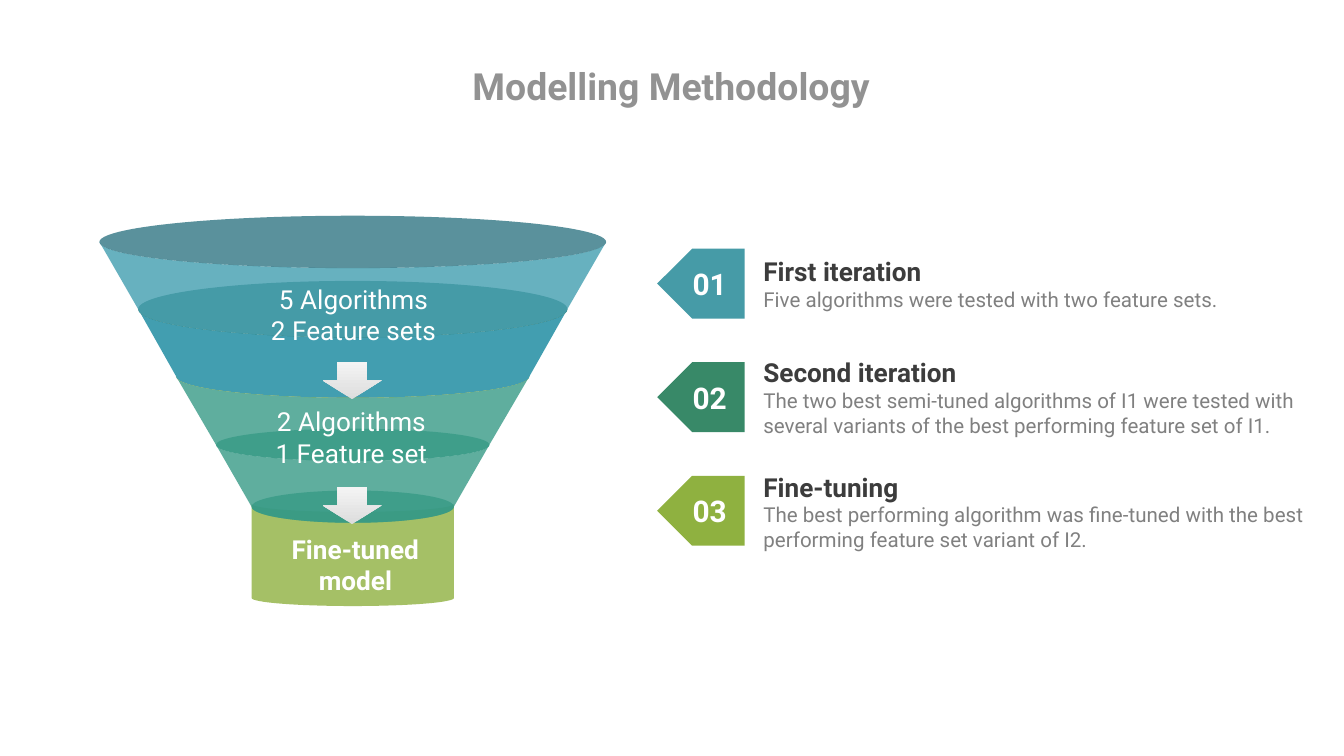
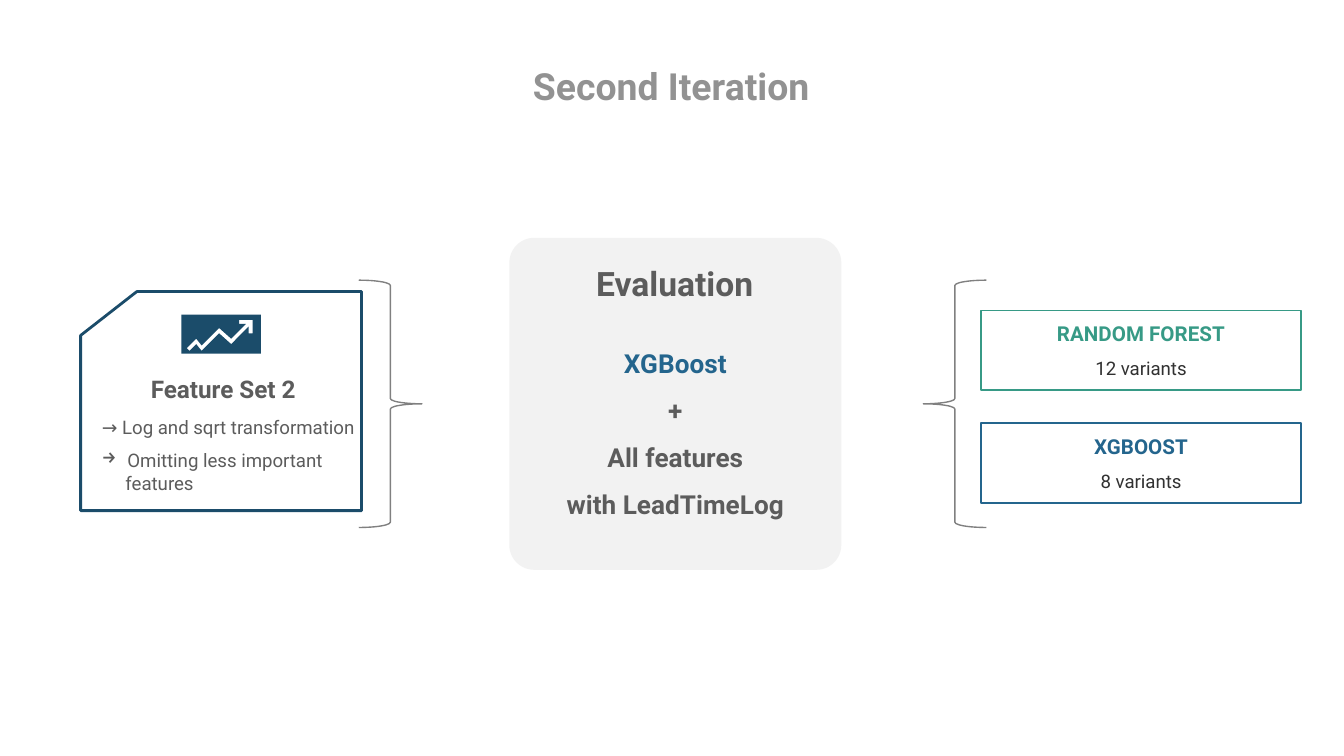
from math import cos, pi, sin
from typing import NamedTuple, Optional

from lxml import etree
from pptx import Presentation
from pptx.dml.color import RGBColor
from pptx.enum.shapes import MSO_SHAPE
from pptx.enum.text import MSO_ANCHOR, MSO_AUTO_SIZE, PP_ALIGN
from pptx.oxml.ns import qn
from pptx.util import Inches, Pt

LEFT, CENTER = PP_ALIGN.LEFT, PP_ALIGN.CENTER
TOP, MIDDLE = MSO_ANCHOR.TOP, MSO_ANCHOR.MIDDLE
GROW, FIXED = MSO_AUTO_SIZE.SHAPE_TO_FIT_TEXT, MSO_AUTO_SIZE.NONE
RECT, ROUND, OVAL = MSO_SHAPE.RECTANGLE, MSO_SHAPE.ROUNDED_RECTANGLE, MSO_SHAPE.OVAL
ARROW, TAG = MSO_SHAPE.DOWN_ARROW, MSO_SHAPE.PENTAGON
CARD, BRACE = MSO_SHAPE.FLOWCHART_CARD, MSO_SHAPE.LEFT_BRACE

# The grid has 100 columns and 56.25 rows, so its cells are square.
WIDTH, HEIGHT = Inches(10), Inches(5.625)
CELL = WIDTH / 100
FONT = "Roboto"
WHITE, GRAY, SLATE, PALE = "FFFFFF", "808080", "5C5C5C", "F2F2F2"
TEAL, GREEN, LIME, AQUA = "469BA7", "388968", "8FB140", "429EB0"
JADE, NAVY, BLUE = "379A86", "1B4C6A", "24658D"


class Box(NamedTuple):
    """Left, top, width and height in grid cells."""
    x: float
    y: float
    w: float
    h: float


class Style(NamedTuple):
    size: float
    color: str
    bold: bool = False


class Para(NamedTuple):
    text: str
    style: Style
    align: PP_ALIGN = CENTER
    lead: Optional[float] = None
    before: float = 0
    inset: float = 0
    mark: str = ""


class Ring(NamedTuple):
    """Ellipse of the funnel, and the wall that hangs below it."""
    y: float
    rx: float
    ry: float
    fill: str
    wall: str
    clear: float = 80


class Step(NamedTuple):
    fill: str
    head: str
    body: str
    box: Box


class Model(NamedTuple):
    name: str
    count: str
    color: str


TITLE = Style(20, "929292", True)
HEAD, BODY = Style(14, "3C3C3C", True), Style(11, GRAY)
NUMBER = Style(16, WHITE, True)
LABEL, STRONG = Style(14, WHITE), Style(14, WHITE, True)
NOTE = Style(10, SLATE)

AXIS = 26.25
RINGS = [
    Ring(18, 18.85, 1.95, "317684", AQUA),
    Ring(23, 15.97, 2.1, "297464", AQUA, 100),
    Ring(28, 13.15, 1.6, "A5B226", JADE),
    Ring(33.1, 10.17, 1.2, JADE, JADE),
    Ring(37.7, 7.53, 1.2, JADE, LIME),
]
SPOUT = [Ring(y, 7.53, 0.6, LIME, LIME) for y in (37.5, 44.5)]
LABELS = [
    (("5 Algorithms", "2 Feature sets"), LABEL, Box(13.2, 20.6, 26.2, 5.7)),
    (("2 Algorithms", "1 Feature set"), LABEL, Box(9.5, 29.7, 33.3, 5.7)),
    (("Fine-tuned", "model"), STRONG, Box(9.8, 39.2, 33.3, 5.7)),
]
STEPS = [
    Step(TEAL, "First iteration",
         "Five algorithms were tested with two feature sets.",
         Box(56.8, 19, 41.5, 4.2)),
    Step(GREEN, "Second iteration",
         "The two best semi-tuned algorithms of I1 were tested with "
         "several variants of the best performing feature set of I1.",
         Box(56.8, 26.5, 39.6, 6.1)),
    Step(LIME, "Fine-tuning",
         "The best performing algorithm was fine-tuned with the best "
         "performing feature set variant of I2.",
         Box(56.8, 35, 40.7, 6.1)),
]
MODELS = [Model("RANDOM FOREST", "12 variants", JADE),
          Model("XGBOOST", "8 variants", BLUE)]
FRAME = [(13.5, 23.4), (19.4, 23.4), (19.4, 26.3), (13.5, 26.3)]
TREND = [(17.8, 23.8), (17.8, 24.1), (18.3, 24.1), (17.2, 25.2), (16.3, 24.4),
         (15, 25.7), (14.6, 25.2), (13.9, 25.9), (14.1, 26.1), (14.6, 25.6),
         (15, 26.1), (16.3, 24.8), (17.2, 25.6), (18.5, 24.3), (18.5, 24.8),
         (18.8, 24.8), (18.8, 23.8)]


def cells(count: float) -> int:
    return round(count * CELL)


def rgb(color: str) -> RGBColor:
    return RGBColor.from_string(color)


def paint(shape, fill: str = "", line: str = "", weight: float = 1,
          clear: float = 100) -> None:
    """Set fill, opacity in percent, and outline; drop the shadow."""
    shape.shadow.inherit = False
    if fill:
        shape.fill.solid()
        shape.fill.fore_color.rgb = rgb(fill)
        if clear < 100:
            tone = shape.element.spPr.find(".//" + qn("a:srgbClr"))
            etree.SubElement(tone, qn("a:alpha")).set("val", str(clear * 1000))
    else:
        shape.fill.background()
    if line:
        shape.line.color.rgb = rgb(line)
        shape.line.width = Pt(weight)
    else:
        shape.line.fill.background()


def draw(slide, kind, box: Box, fill: str = "", line: str = "",
         weight: float = 1, clear: float = 100, flip: bool = False):
    shape = slide.shapes.add_shape(kind, *map(cells, box))
    paint(shape, fill, line, weight, clear)
    if flip:
        shape.element.spPr.get_or_add_xfrm().set("flipH", "1")
    return shape


def trace(slide, *loops, fill: str, clear: float = 100) -> None:
    """Draw closed outlines as one shape."""
    pen = None
    for loop in loops:
        first, *rest = [(cells(x), cells(y)) for x, y in loop]
        if pen is None:
            pen = slide.shapes.build_freeform(*first)
        else:
            pen.move_to(*first)
        pen.add_line_segments(rest, close=True)
    paint(pen.convert_to_shape(), fill, clear=clear)


def write(shape, paras: list[Para], anchor=MIDDLE, pad: bool = True,
          size=FIXED) -> None:
    frame = shape.text_frame
    frame.word_wrap, frame.auto_size = True, size
    frame.vertical_anchor = anchor
    if not pad:
        frame.margin_left = frame.margin_right = 0
        frame.margin_top = frame.margin_bottom = 0
    for i, para in enumerate(paras):
        line = frame.add_paragraph() if i else frame.paragraphs[0]
        props = line._p.get_or_add_pPr()
        if para.inset:
            props.set("marL", str(cells(para.inset)))
        if para.mark:
            props.set("indent", str(-cells(para.inset)))
            etree.SubElement(props, qn("a:buChar")).set("char", para.mark)
        line.alignment = para.align
        if para.lead:
            line.line_spacing = para.lead
        if para.before:
            line.space_before = Pt(para.before)
        run = line.add_run()
        run.text = para.text
        run.font.name, run.font.size = FONT, Pt(para.style.size)
        run.font.bold = para.style.bold
        run.font.color.rgb = rgb(para.style.color)


def text(slide, box: Box, paras: list[Para], anchor=TOP, pad: bool = True,
         size=GROW) -> None:
    write(slide.shapes.add_textbox(*map(cells, box)), paras, anchor, pad, size)


def start(deck, title: str):
    """Add a blank slide with its title."""
    slide = deck.slides.add_slide(deck.slide_layouts[6])
    text(slide, Box(4.2, 3.7, 91.5, 5.4), [Para(title, TITLE)],
         MIDDLE, False, FIXED)
    return slide


def rim(ring: Ring, steps: int = 32) -> list[tuple[float, float]]:
    """Front half of a ring, from left to right."""
    turns = [pi * i / steps for i in range(steps + 1)]
    return [(AXIS - ring.rx * cos(t), ring.y + ring.ry * sin(t)) for t in turns]


def wall(slide, upper: Ring, lower: Ring) -> None:
    trace(slide, rim(upper) + rim(lower)[::-1],
          fill=upper.wall, clear=upper.clear)


def funnel(slide) -> None:
    wall(slide, *SPOUT)
    for i in reversed(range(len(RINGS))):
        ring = RINGS[i]
        if i + 1 < len(RINGS):
            wall(slide, ring, RINGS[i + 1])
        draw(slide, OVAL, Box(AXIS - ring.rx, ring.y - ring.ry,
                              2 * ring.rx, 2 * ring.ry), ring.fill, clear=80)
    for y in (36.2, 26.9):
        arrow = draw(slide, ARROW, Box(24, y, 4.4, 2.8), WHITE)
        arrow.fill.gradient()
        arrow.fill.gradient_angle = 90
        for stop, color in zip(arrow.fill.gradient_stops, ("DDDDDD", "F4F4F4")):
            stop.color.rgb = rgb(color)
    for lines, style, box in LABELS:
        text(slide, box, [Para(line, style) for line in lines])


def method(deck) -> None:
    slide = start(deck, "Modelling Methodology")
    funnel(slide)
    for i, step in enumerate(STEPS):
        tag = draw(slide, TAG, Box(48.9, 18.5 + 8.45 * i, 6.5, 5.2),
                   step.fill, flip=True)
        write(tag, [Para(f"{i + 1:02}", NUMBER)])
        text(slide, step.box, [Para(step.head, HEAD, LEFT),
                               Para(step.body, BODY, LEFT)], MIDDLE, False)


def feature(slide) -> None:
    draw(slide, CARD, Box(6, 21.7, 20.9, 16.3), WHITE, NAVY, 1.5)
    name = draw(slide, RECT, Box(7.5, 26.9, 18.2, 2.9), WHITE)
    write(name, [Para("Feature Set 2", Style(13, SLATE, True), lead=1.5)],
          pad=False, size=GROW)
    trace(slide, TREND, FRAME, fill=NAVY)
    text(slide, Box(6.6, 29.6, 20.9, 7.7), [
        Para("→ Log and sqrt transformation", NOTE, LEFT, 1.5),
        Para("Omitting less important", NOTE, LEFT, before=6,
             inset=1.9, mark="→"),
        Para("features", NOTE, LEFT, inset=1.75),
    ])


def second(deck) -> None:
    slide = start(deck, "Second Iteration")
    feature(slide)
    for i, model in enumerate(MODELS):
        card = draw(slide, RECT, Box(73, 23.1 + 8.4 * i, 23.8, 5.9),
                    line=model.color)
        write(card, [Para(model.name, Style(11, model.color, True)),
                     Para(model.count, Style(10, "313131"), lead=1.5)])
    for x, flip in ((26.7, True), (68.7, False)):
        draw(slide, BRACE, Box(x, 20.85, 4.7, 18.4), line=GRAY,
             weight=0.75, flip=flip)
    panel = draw(slide, ROUND, Box(37.9, 17.7, 24.7, 24.7), PALE)
    panel.adjustments[0] = 0.075
    text(slide, Box(41.1, 18.3, 18.2, 4),
         [Para("Evaluation", Style(18, SLATE, True), lead=1.5)], MIDDLE, False)
    words = [("XGBoost", BLUE), ("+", SLATE), ("All features", SLATE),
             ("with LeadTimeLog", SLATE)]
    text(slide, Box(40.3, 24.2, 19.9, 14.7),
         [Para(word, Style(14, color, True), lead=1.5) for word, color in words])


def main() -> None:
    deck = Presentation()
    deck.slide_width, deck.slide_height = WIDTH, HEIGHT
    method(deck)
    second(deck)
    deck.save("out.pptx")


if __name__ == "__main__":
    main()
